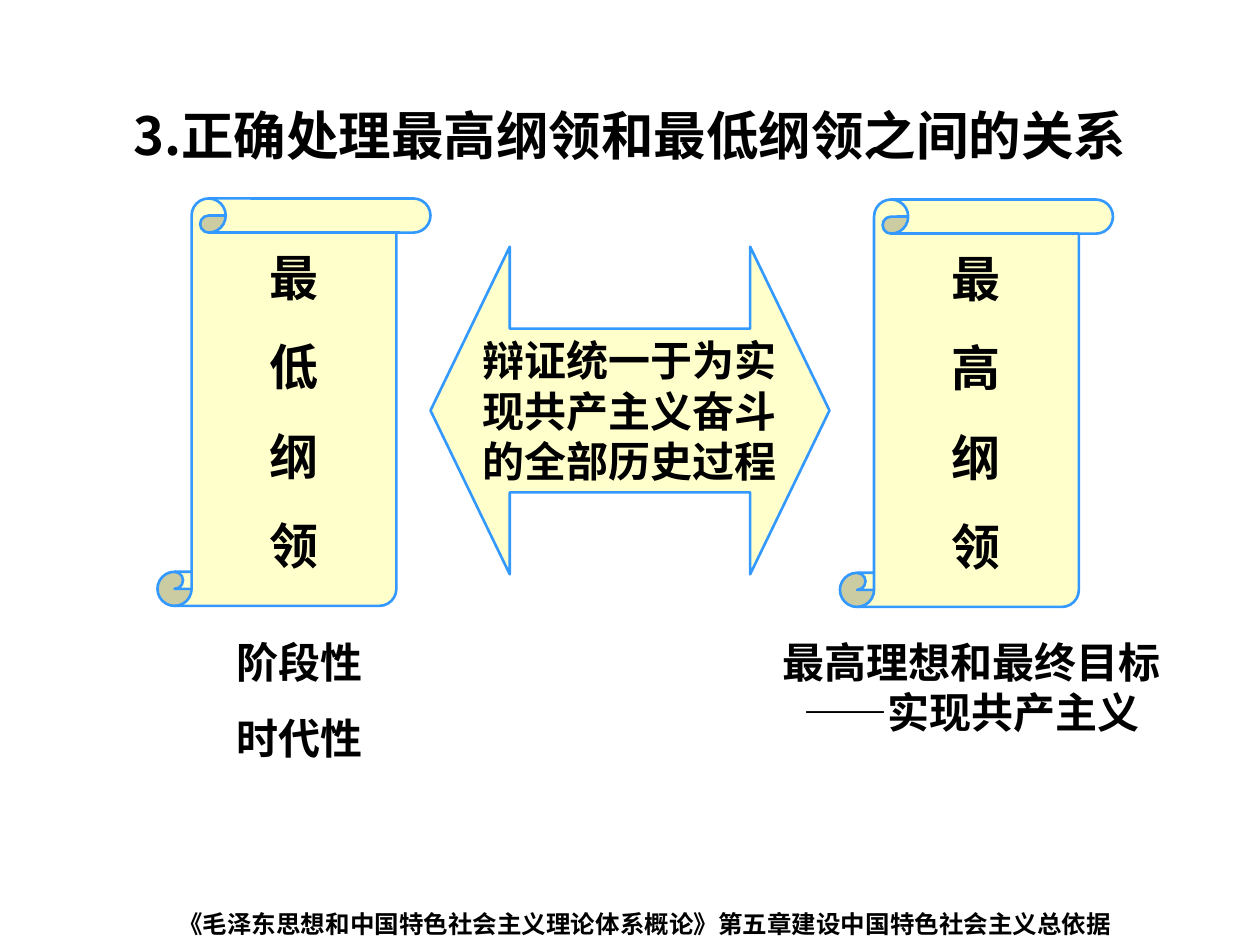
"""Build a slide on how the highest and lowest programmes relate."""
from pptx import Presentation, util as u
from pptx.dml.color import RGBColor
from pptx.enum import shapes, text
from pptx.oxml.ns import qn
from lxml import etree

BLACK = RGBColor(0, 0, 0)
CREAM = RGBColor(0xFF, 0xFF, 0xCC)
BLUE = RGBColor(0x33, 0x99, 0xFF)
SANS = "Noto Sans CJK SC"
MID = text.PP_ALIGN.CENTER
LEFT = text.PP_ALIGN.LEFT
TOP = text.MSO_ANCHOR.TOP

deck = Presentation()
deck.slide_width, deck.slide_height = u.Inches(10), u.Inches(7.5)
CELL = deck.slide_width / 120
slide = deck.slides.add_slide(deck.slide_layouts[5])


def grid(*cells):
    return [round(n * CELL) for n in cells]


def write(shape, lines, size=24, font=SANS, align=MID, gap=0, lead=1.0,
          anchor=TOP, wrap=True):
    frame = shape.text_frame
    frame.text = "\n".join(lines)
    frame.word_wrap = wrap
    frame.auto_size = text.MSO_AUTO_SIZE.NONE
    frame.vertical_anchor = anchor
    frame.margin_left = frame.margin_right = u.Inches(0.1)
    frame.margin_top = frame.margin_bottom = u.Inches(0.05)
    for i, para in enumerate(frame.paragraphs):
        para.alignment = align
        para.line_spacing = lead
        para.space_before = u.Pt(gap if i else 0)
        for run in para.runs:
            run.font.name = font
            run.font.size = u.Pt(size)
            run.font.bold = True
            run.font.color.rgb = BLACK
            east = etree.SubElement(run.font._element, qn("a:ea"))
            east.set("typeface", SANS)


title = slide.shapes.title
title.left, title.top, title.width, title.height = grid(10, 8, 100, 8.4)
write(title, ["3.正确处理最高纲领和最低纲领之间的关系"], size=30, lead=1.2)

SCROLL = shapes.MSO_SHAPE.VERTICAL_SCROLL
ARROW = shapes.MSO_SHAPE.LEFT_RIGHT_ARROW
figures = [
    (SCROLL, (80, 19, 26, 38.8), [0.125], "最高纲领", dict(size=28, gap=17.5)),
    (SCROLL, (15, 18.9, 26, 38.8), [0.125], "最低纲领", dict(size=28, gap=17.5)),
    (ARROW, (41, 23.5, 38, 31.2), [0.5, 0.242],
     ["辩证统一于为实现共产主义奋斗的全部历史过程"], dict(align=LEFT)),
]
for kind, place, bends, lines, form in figures:
    shape = slide.shapes.add_shape(kind, *grid(*place))
    for i, bend in enumerate(bends):
        shape.adjustments[i] = bend
    shape.shadow.inherit = False
    shape.fill.solid()
    shape.fill.fore_color.rgb = CREAM
    shape.line.color.rgb = BLUE
    shape.line.width = u.Pt(1.5)
    write(shape, lines, anchor=text.MSO_ANCHOR.MIDDLE, **form)

notes = [
    ((15, 60, 27, 13.3), ["阶段性", "时代性"], dict(gap=15)),
    ((73, 60, 39, 10.8), ["最高理想和最终目标——实现共产主义"], {}),
    ((15.8, 86, 91.3, 4.1),
     ["《毛泽东思想和中国特色社会主义理论体系概论》第五章建设中国特色社会主义总依据"],
     dict(size=14, font="Arial", align=LEFT, wrap=False)),
]
for place, lines, form in notes:
    write(slide.shapes.add_textbox(*grid(*place)), lines, **form)

deck.save("out.pptx")
